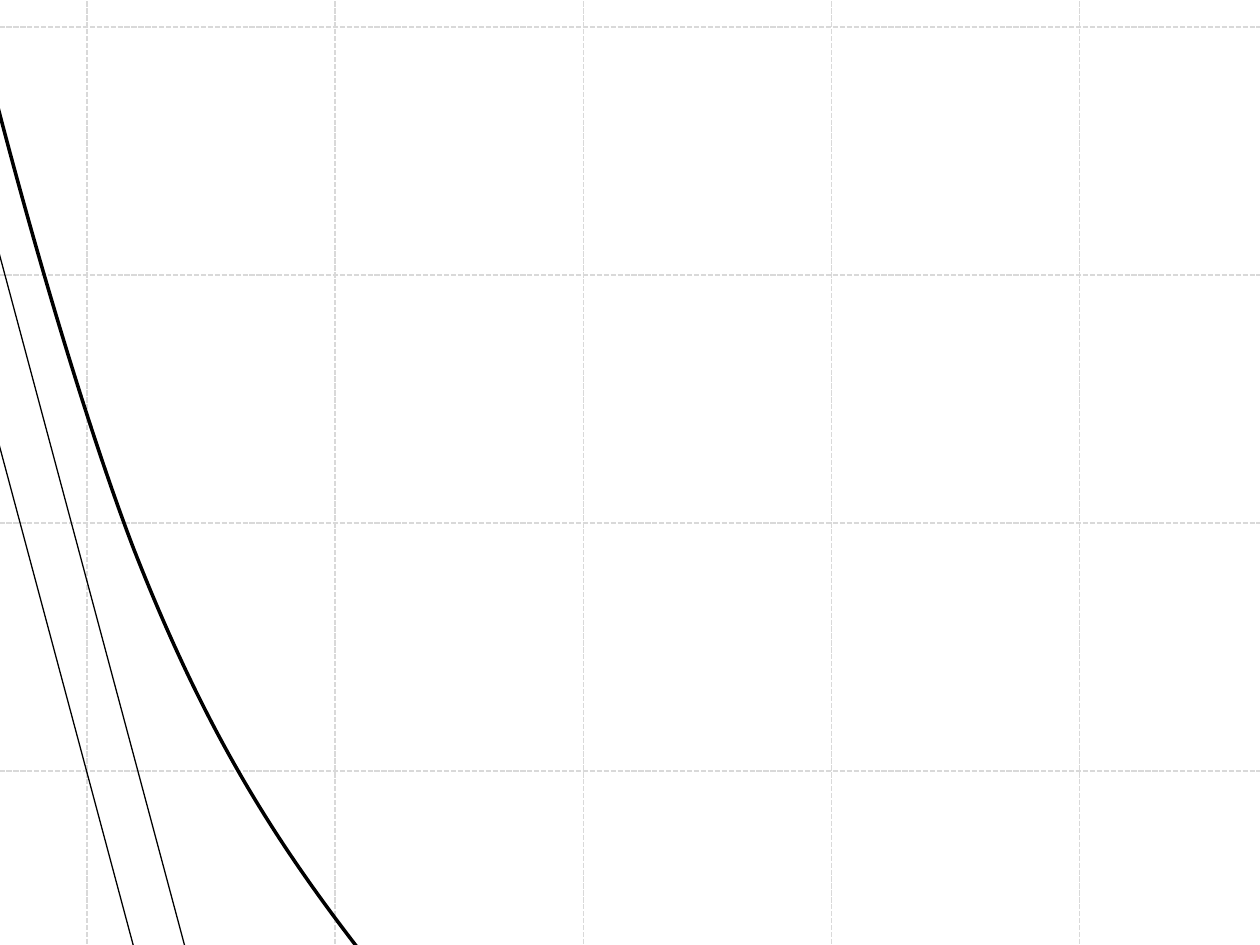
from itertools import chain

from lxml.etree import SubElement
from pptx import Presentation
from pptx.dml.color import RGBColor
from pptx.enum.dml import MSO_LINE
from pptx.enum.shapes import MSO_CONNECTOR as Conn, MSO_SHAPE as Shape
from pptx.oxml.ns import qn
from pptx.util import Cm, Pt

COLORS = {"paper": "FFFFFF", "grid": "D9D9D9", "ink": "000000"}

GRID_STEP = 5
GRID_X, GRID_Y = 1.76, 0.54          # first grid lines on the slide
LEFT, RIGHT = -23.25, 36.75          # extent of the drawing field
TOP, BOTTOM = -39.45, 40.55

CURVE_LEFT = -1.52                   # leftmost point the curve reaches
CURVE_START = (4.24, -15.88)
CURVE_PIECES = [                     # two control points and an end point
    ((3.43, -15.8), (0.61, -14.45), (-0.13, -13.26)),
    ((-0.84, -12.07), (-1.24, -11.18), (-1.4, -9.32)),
    ((-1.55, -7.47), (-1.73, -5.46), (-1.04, -2.08)),
    ((-0.36, 1.32), (1.35, 7.54), (2.69, 11.05)),
    ((4.06, 14.55), (5.38, 16.71), (7.09, 18.95)),
    ((8.79, 21.18), (10.26, 23.04), (12.95, 24.46)),
    ((15.67, 25.88), (21.59, 27.03), (23.34, 27.56)),
]


class Drawing:
    def __init__(self, slide):
        self.s = slide
        fill = slide.background.fill
        fill.solid()
        fill.fore_color.rgb = self.color("paper")
        self.shapes = slide.shapes.add_group_shape().shapes

    def color(self, name):
        return RGBColor.from_string(COLORS[name])

    def stroke(self, sp, name, width):
        sp.line.color.rgb = self.color(name)
        sp.line.width = Pt(width)

    def grid_line(self, x1, y1, x2, y2):
        line = self.shapes.add_connector(
            Conn.STRAIGHT, Cm(x1), Cm(y1), Cm(x2), Cm(y2))
        self.stroke(line, "grid", 1)
        line.line.dash_style = MSO_LINE.SQUARE_DOT
        SubElement(line._element.spPr, qn("a:effectLst"))

    def outline(self, sp, width):
        """Leave a shape unfilled, with an ink line."""
        sp.shadow.inherit = False
        sp.fill.background()
        self.stroke(sp, "ink", width)

    def bar(self, x, y, w, h, angle):
        sp = self.shapes.add_shape(Shape.RECTANGLE, Cm(x), Cm(y), Cm(w), Cm(h))
        sp.rotation = angle
        self.outline(sp, 0.75)

    def curve(self, start, pieces, left):
        """Draw cubic pieces; left is the curve's own edge, inside its controls."""
        builder = self.shapes.build_freeform(Cm(start[0]), Cm(start[1]))
        builder.add_line_segments(
            [(Cm(x), Cm(y)) for x, y in chain(*pieces)], close=False)
        sp = builder.convert_to_shape()
        outline = sp._element.find(".//" + qn("a:path"))

        inset = Cm(left) - sp.left
        sp.left, sp.width = sp.left + inset, sp.width - inset
        outline.set("w", str(sp.width))
        for pt in outline.iter(qn("a:pt")):
            pt.set("x", str(int(pt.get("x")) - inset))

        segments = outline.findall(qn("a:lnTo"))
        for i in range(0, len(segments), 3):
            cubic = SubElement(outline, qn("a:cubicBezTo"))
            for segment in segments[i:i + 3]:
                cubic.append(segment[0])
                outline.remove(segment)
        self.outline(sp, 2)


def main():
    prs = Presentation()
    prs.slide_width, prs.slide_height = Cm(25.4), Cm(19.05)
    drawing = Drawing(prs.slides.add_slide(prs.slide_layouts[6]))

    for i in range(5):
        x = GRID_X + i * GRID_STEP
        drawing.grid_line(x, TOP, x, BOTTOM)
    for i in range(4):
        y = GRID_Y + i * GRID_STEP
        drawing.grid_line(LEFT, y, RIGHT, y)

    drawing.bar(-2.18, -25.17, 1, 52, 345)
    drawing.curve(CURVE_START, CURVE_PIECES, CURVE_LEFT)
    prs.save("out.pptx")


if __name__ == "__main__":
    main()
